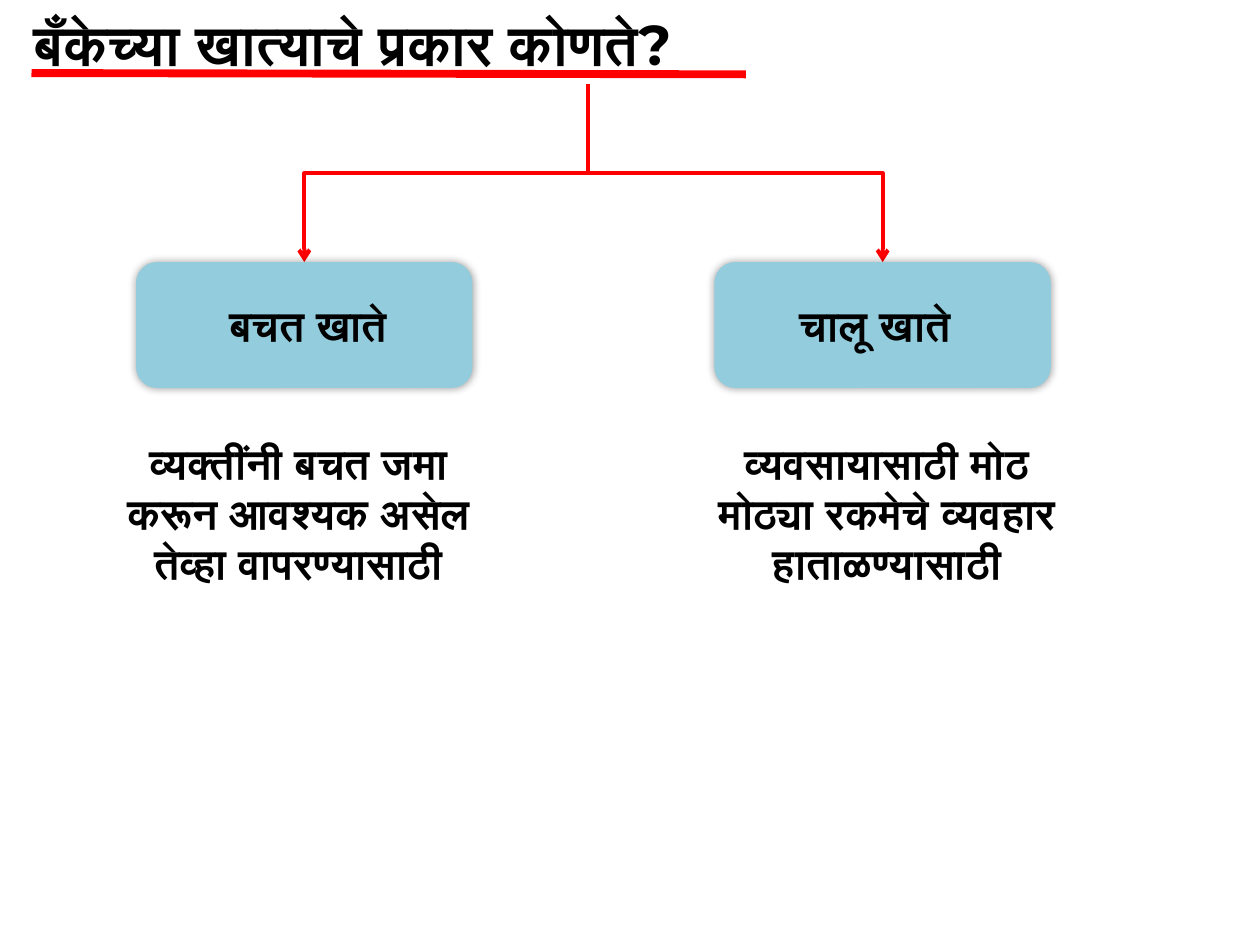
from lxml.etree import SubElement
from pptx import Presentation
from pptx.dml.color import RGBColor
from pptx.enum.shapes import MSO_CONNECTOR, MSO_SHAPE
from pptx.enum.text import MSO_AUTO_SIZE, PP_ALIGN
from pptx.oxml.ns import qn
from pptx.util import Inches, Pt

RED, BLUE, BLACK = "FF0000", "93CDDD", "000000"
ROOT, TOP, BOX_TOP = 4.67, 0.67, 2.08
BOX_WIDE, BOX_HIGH = 2.67, 1


def paint(color, code):
    """Set a colour from a hex string."""
    color.rgb = RGBColor.from_string(code)


def add_text(shapes, words, spot, size=24, font="Arial", align=PP_ALIGN.CENTER):
    """Add a bold text box that grows with its words."""
    frame = shapes.add_textbox(*map(Inches, spot)).text_frame
    frame.word_wrap = True
    frame.auto_size = MSO_AUTO_SIZE.SHAPE_TO_FIT_TEXT
    para = frame.paragraphs[0]
    para.alignment = align
    run = para.add_run()
    run.text = words
    run.font.name, run.font.size, run.font.bold = font, Pt(size), True
    paint(run.font.color, BLACK)


def add_line(shapes, kind, start, end, width):
    """Add a red connector without a shadow."""
    line = shapes.add_connector(kind, *map(Inches, start + end))
    paint(line.line.color, RED)
    line.line.width = Pt(width)
    SubElement(line._element.spPr, qn("a:effectLst"))
    return line


def add_branch(shapes, goal):
    """Add an elbow arrow from the root down to a box top."""
    drop, span = BOX_TOP - TOP, abs(goal - ROOT)
    mid_x, mid_y = (ROOT + goal) / 2, (TOP + BOX_TOP) / 2
    side = 1 if goal > ROOT else -1
    start = (mid_x + side * drop / 2, mid_y - span / 2)
    end = (mid_x - side * drop / 2, mid_y + span / 2)
    line = add_line(shapes, MSO_CONNECTOR.ELBOW, start, end, 2.25)
    turn = 270 if side > 0 else 90
    line._element.spPr.find(qn("a:xfrm")).set("rot", str(turn * 60000))
    SubElement(line.line._get_or_add_ln(), qn("a:tailEnd"), type="arrow")


def add_glow(shape):
    """Give a shape a soft, centred shadow."""
    shape.shadow.inherit = False
    effects = shape._element.spPr.find(qn("a:effectLst"))
    shade = SubElement(effects, qn("a:outerShdw"), blurRad=str(Pt(5)),
                       dist="0", dir="0", algn="ctr", rotWithShape="0")
    color = SubElement(shade, qn("a:srgbClr"), val=BLACK)
    SubElement(color, qn("a:alpha"), val="40000")


def add_box(shapes, left, words, spot, align):
    """Add a rounded box grouped with its label."""
    group = shapes.add_group_shape().shapes
    box = group.add_shape(MSO_SHAPE.ROUNDED_RECTANGLE,
                          *map(Inches, (left, BOX_TOP, BOX_WIDE, BOX_HIGH)))
    box.fill.solid()
    paint(box.fill.fore_color, BLUE)
    box.line.fill.background()
    add_glow(box)
    add_text(group, words, spot, align=align)


def main():
    """Build the slide on kinds of bank account."""
    deck = Presentation()
    deck.slide_width, deck.slide_height = Inches(10), Inches(7.5)
    shapes = deck.slides.add_slide(deck.slide_layouts[6]).shapes
    add_text(shapes, "बँकेच्या खात्याचे प्रकार कोणते?", (0.17, 0.03, 9, 0.64),
             32, "Montserrat", PP_ALIGN.LEFT)
    add_line(shapes, MSO_CONNECTOR.STRAIGHT, (0.25, 0.58), (5.92, 0.59), 4.5)
    kinds = [
        (1.08, "बचत खाते", (1.57, 2.33, 1.75, 0.5), PP_ALIGN.CENTER,
         "व्यक्तींनी बचत जमा करून आवश्यक असेल तेव्हा वापरण्यासाठी",
         (0.83, 3.42, 3.08, 1.31)),
        (5.67, "चालू खाते", (6.25, 2.33, 1.58, 0.5), PP_ALIGN.LEFT,
         "व्यवसायासाठी मोठ मोठ्या रकमेचे व्यवहार हाताळण्यासाठी",
         (5.5, 3.42, 3.08, 1.72)),
    ]
    for left, *_ in kinds:
        add_branch(shapes, left + BOX_WIDE / 2)
    for left, name, spot, align, *_ in kinds:
        add_box(shapes, left, name, spot, align)
    for *_, use, place in kinds:
        add_text(shapes, use, place)
    deck.save("out.pptx")


if __name__ == "__main__":
    main()
